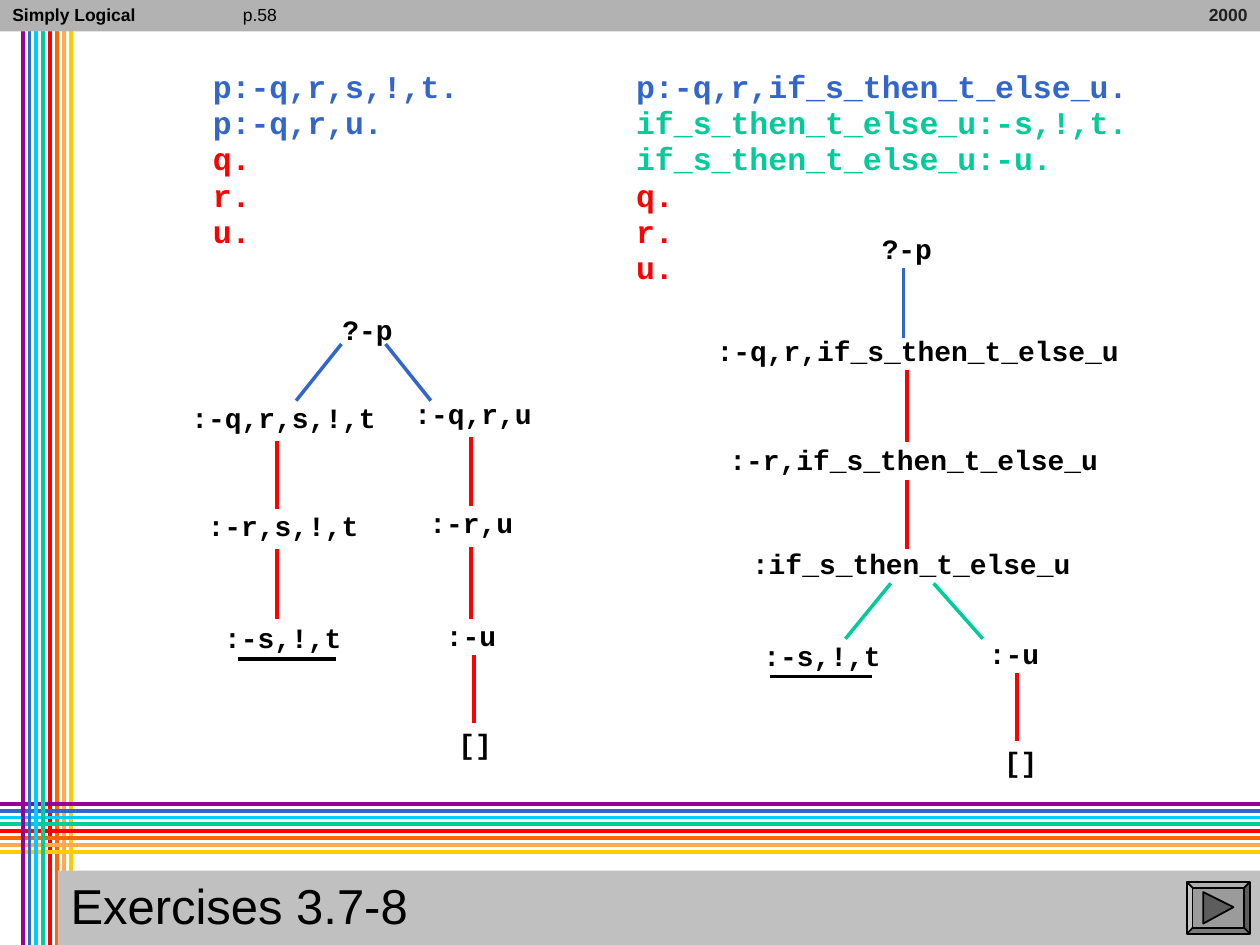
from dataclasses import dataclass

from lxml import etree
from pptx import Presentation
from pptx.dml.color import RGBColor
from pptx.enum.shapes import MSO_CONNECTOR, MSO_SHAPE
from pptx.enum.text import MSO_ANCHOR, MSO_AUTO_SIZE, PP_ALIGN
from pptx.oxml.ns import qn
from pptx.util import Inches, Pt

STRAIGHT = MSO_CONNECTOR.STRAIGHT
RECTANGLE, BEVEL = MSO_SHAPE.RECTANGLE, MSO_SHAPE.BEVEL
TOP, MIDDLE = MSO_ANCHOR.TOP, MSO_ANCHOR.MIDDLE
LEFT, RIGHT = PP_ALIGN.LEFT, PP_ALIGN.RIGHT
FIT_SHAPE, NO_FIT = MSO_AUTO_SIZE.SHAPE_TO_FIT_TEXT, MSO_AUTO_SIZE.NONE

COLUMNS, ROWS = 10, 7.5


@dataclass(frozen=True)
class Theme:
    """Colours, fonts and sizes of the slide."""
    black: str = "000000"
    year: str = "202020"
    blue: str = "3366CC"
    green: str = "00CC99"
    red: str = "FF0000"
    header: str = "B2B2B2"
    footer: str = "C0C0C0"
    button: str = "9B9B9B"
    arrow: str = "5D5D5D"
    stripes: tuple = ("990099", "3366CC", "00CCFF", "00CC99",
                      "FF0000", "FF6600", "FFA953", "FFCC00")
    sans: str = "Arial"
    mono: str = "Courier New"
    title_size: int = 28
    code_size: int = 18
    node_size: int = 16
    header_size: int = 10
    stripe_width: float = 2.25
    edge_width: float = 2


THEME = Theme()
CHARACTER = THEME.node_size * 0.6 / 72

PROGRAMS = [
    ((1.59, 0.5, 2.15, 1.54),
     [("p:-q,r,s,!,t.", THEME.blue), ("p:-q,r,u.", THEME.blue),
      ("q.", THEME.red), ("r.", THEME.red), ("u.", THEME.red)]),
    ((4.95, 0.5, 4.1, 1.83),
     [("p:-q,r,if_s_then_t_else_u.", THEME.blue),
      ("if_s_then_t_else_u:-s,!,t.", THEME.green),
      ("if_s_then_t_else_u:-u.", THEME.green),
      ("q.", THEME.red), ("r.", THEME.red), ("u.", THEME.red)]),
]

NODES = [
    ("?-p", 2.62, 2.46), (":-q,r,s,!,t", 1.42, 3.16), (":-r,s,!,t", 1.55, 4.02),
    (":-s,!,t", 1.68, 4.91), (":-q,r,u", 3.19, 3.13), (":-r,u", 3.31, 3.99),
    (":-u", 3.44, 4.89), ("[]", 3.54, 5.75),
    ("?-p", 6.9, 1.82), (":-q,r,if_s_then_t_else_u", 5.59, 2.63),
    (":-r,if_s_then_t_else_u", 5.69, 3.49), (":if_s_then_t_else_u", 5.87, 4.32),
    (":-s,!,t", 5.96, 5.05), (":-u", 7.75, 5.03), ("[]", 7.87, 5.89),
]

EDGES = {
    THEME.blue: [(2.35, 3.18, 2.71, 2.73), (3.42, 3.18, 3.06, 2.73),
                 (7.17, 2.13, 7.17, 2.68)],
    THEME.red: [(2.2, 3.5, 2.2, 4.04), (2.2, 4.36, 2.2, 4.91),
                (3.74, 3.47, 3.74, 4.02), (3.74, 4.34, 3.74, 4.91),
                (3.76, 5.2, 3.76, 5.74), (7.2, 2.94, 7.2, 3.51),
                (7.2, 3.81, 7.2, 4.36), (8.07, 5.34, 8.07, 5.88)],
    THEME.green: [(6.71, 5.07, 7.07, 4.63), (7.8, 5.07, 7.41, 4.63)],
    THEME.black: [(1.89, 5.23, 2.67, 5.23), (6.11, 5.37, 6.92, 5.37)],
}


def grid(*cells):
    """Turn grid columns and rows into slide lengths."""
    return [Inches(cell) for cell in cells]


def write(shape, lines, font=THEME.sans, size=THEME.header_size, bold=False,
          align=LEFT, anchor=TOP, wrap=True, fit=NO_FIT, spacing=0.9, gap=0):
    """Write (text, colour) lines as one formatted paragraph."""
    frame = shape.text_frame
    frame.word_wrap, frame.auto_size, frame.vertical_anchor = wrap, fit, anchor
    paragraph = frame.paragraphs[0]
    paragraph.alignment, paragraph.line_spacing = align, spacing
    paragraph.space_before = paragraph.space_after = Pt(gap)
    for index, (text, color) in enumerate(lines):
        if index:
            paragraph.add_line_break()
        run = paragraph.add_run()
        run.text = text
        run.font.name, run.font.size, run.font.bold = font, Pt(size), bold
        run.font.color.rgb = RGBColor.from_string(color)


def add_text(slide, box, lines, **text_format):
    """Add a text box on the grid."""
    write(slide.shapes.add_textbox(*grid(*box)), lines, **text_format)


def add_line(slide, ends, color, width=THEME.edge_width):
    """Add a straight line without a shadow."""
    line = slide.shapes.add_connector(STRAIGHT, *grid(*ends))
    line.line.color.rgb = RGBColor.from_string(color)
    line.line.width = Pt(width)
    etree.SubElement(line._element.spPr, qn("a:effectLst"))


def paint(shape, fill, outline=None):
    """Give a shape its fill and optional outline."""
    shape.shadow.inherit = False
    shape.fill.solid()
    shape.fill.fore_color.rgb = RGBColor.from_string(fill)
    if outline:
        shape.line.color.rgb = RGBColor.from_string(outline)
        shape.line.width = Pt(1)
    else:
        shape.line.fill.background()


def add_stripes(slide):
    """Weave the coloured stripes along the left and bottom edges."""
    stripes = [(index * 0.38 / 7, color) for index, color in enumerate(THEME.stripes)]

    def add_vertical(part):
        for offset, color in part:
            add_line(slide, (0.18 + offset, 0, 0.18 + offset, ROWS), color, THEME.stripe_width)

    add_vertical(stripes[4:])
    for offset, color in stripes:
        add_line(slide, (COLUMNS, 6.38 + offset, 0, 6.38 + offset), color, THEME.stripe_width)
    add_vertical(stripes[:4])


def add_header(slide):
    """Add the top bar and its three labels."""
    paint(slide.shapes.add_shape(RECTANGLE, *grid(0, 0, COLUMNS, 0.25)), THEME.header)
    add_text(slide, (0, 0, 2, 0.25), [("Simply Logical", THEME.black)], bold=True)
    add_text(slide, (1.83, 0, 0.76, 0.25), [("p.58", THEME.black)], wrap=False)
    add_text(slide, (7.3, 0, 2.7, 0.25), [("2000", THEME.year)], bold=True, align=RIGHT)


def add_title(slide):
    """Move the title placeholder to the bottom bar, above the stripes."""
    title = slide.shapes.title
    title.left, title.top, title.width, title.height = grid(0.46, 6.91, 9.54, 0.6)
    paint(title, THEME.footer)
    write(title, [("Exercises 3.7-8", THEME.black)], size=THEME.title_size, anchor=MIDDLE)
    slide.shapes._spTree.append(title._element)


def add_next_button(slide):
    """Add the bevelled button with its arrow."""
    button = slide.shapes.add_shape(BEVEL, *grid(9.42, 7, 0.5, 0.41))
    button.adjustments[0] = 0.11
    paint(button, THEME.button, THEME.black)
    builder = slide.shapes.build_freeform(*grid(9.55, 7.08))
    builder.add_line_segments([grid(9.79, 7.2), grid(9.55, 7.33)])
    paint(builder.convert_to_shape(), THEME.arrow, THEME.black)


def add_trees(slide):
    """Add the edges and goals of both search trees."""
    for color, edges in EDGES.items():
        for ends in edges:
            add_line(slide, ends, color)
    for text, left, top in NODES:
        add_text(slide, (left, top, 0.2 + CHARACTER * len(text), 0.34),
                 [(text, THEME.black)], font=THEME.mono, size=THEME.node_size,
                 bold=True, wrap=False, fit=FIT_SHAPE)


def main():
    """Build and save the slide."""
    presentation = Presentation()
    presentation.slide_width, presentation.slide_height = grid(COLUMNS, ROWS)
    slide = presentation.slides.add_slide(presentation.slide_layouts[5])
    add_stripes(slide)
    add_header(slide)
    add_title(slide)
    add_trees(slide)
    for box, lines in PROGRAMS:
        add_text(slide, box, lines, font=THEME.mono, size=THEME.code_size, bold=True,
                 wrap=False, fit=FIT_SHAPE, spacing=0.96, gap=10.7)
    add_next_button(slide)
    presentation.save("out.pptx")


if __name__ == "__main__":
    main()
